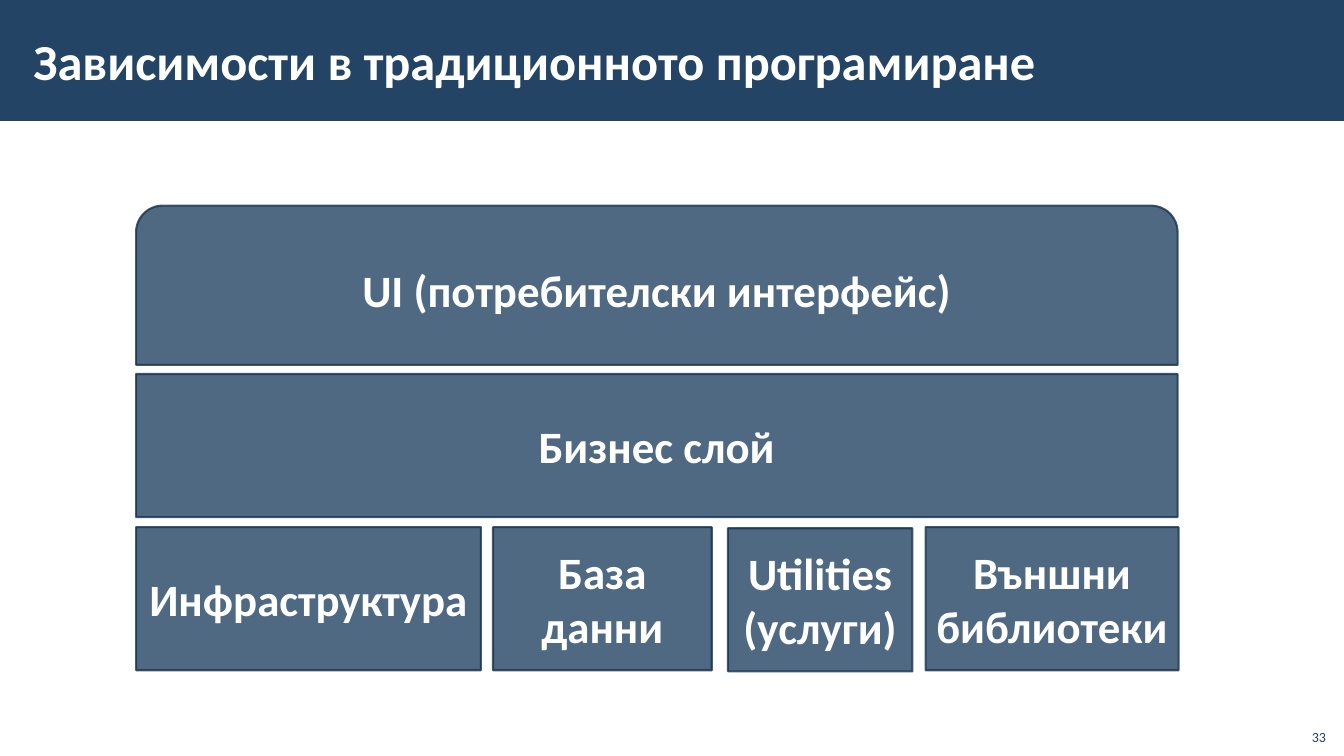
from lxml import etree
from pptx import Presentation
from pptx.dml.color import RGBColor
from pptx.enum.shapes import MSO_SHAPE
from pptx.enum.text import MSO_ANCHOR, PP_ALIGN
from pptx.oxml.ns import qn
from pptx.util import Inches, Pt

NAVY = RGBColor(0x23, 0x44, 0x65)
DARK_NAVY = RGBColor(0x1A, 0x33, 0x4C)
WHITE = RGBColor(0xFF, 0xFF, 0xFF)


def write(sp, text, size=32, color=WHITE, bold=True,
          align=PP_ALIGN.CENTER, anchor=MSO_ANCHOR.MIDDLE):
    tf = sp.text_frame
    tf.word_wrap = True
    tf.vertical_anchor = anchor
    p = tf.paragraphs[0]
    p.alignment = align
    r = p.add_run()
    r.text = text
    r.font.name = "Calibri"
    r.font.size = Pt(size)
    r.font.bold = bold
    r.font.color.rgb = color


def add_block(slide, shape, x, y, w, h, text):
    """Add a layer of the diagram with 80% opaque fill and outline."""
    sp = slide.shapes.add_shape(shape, Inches(x), Inches(y), Inches(w), Inches(h))
    sp.shadow.inherit = False
    sp.fill.solid()
    sp.fill.fore_color.rgb = NAVY
    sp.line.color.rgb = DARK_NAVY
    sp.line.width = Pt(1.5)
    for clr in sp._element.spPr.iter(qn("a:srgbClr")):
        etree.SubElement(clr, qn("a:alpha")).set("val", "80000")
    write(sp, text)


prs = Presentation()
prs.slide_width = Inches(13.33)
prs.slide_height = Inches(7.5)
slide = prs.slides.add_slide(prs.slide_layouts[5])

# Header band behind the title
band = slide.shapes.add_shape(MSO_SHAPE.RECTANGLE, 0, 0, prs.slide_width, Inches(1.2))
band.shadow.inherit = False
band.fill.solid()
band.fill.fore_color.rgb = NAVY
band.line.fill.background()
slide.shapes._spTree.insert(2, band._element)

title = slide.shapes.title
title.left, title.top = Inches(0.21), Inches(0.11)
title.width, title.height = Inches(10.63), Inches(0.97)
tf = title.text_frame
tf.margin_left = tf.margin_right = Inches(0.12)
tf.margin_top = tf.margin_bottom = Inches(0.04)
write(title, "Зависимости в традиционното програмиране", size=36, align=PP_ALIGN.LEFT)

# Full-width layers, then the row they rest on
LEFT, WIDTH, ROW_H = 1.35, 10.33, 1.42
add_block(slide, MSO_SHAPE.ROUND_2_SAME_RECTANGLE, LEFT, 2.04, WIDTH, 1.58,
          "UI (потребителски интерфейс)")
add_block(slide, MSO_SHAPE.RECTANGLE, LEFT, 3.71, WIDTH, ROW_H, "Бизнес слой")

for x, y, w, text in [
    (LEFT, 5.23, 3.42, "Инфраструктура"),
    (4.89, 5.23, 2.17, "База данни"),
    (7.22, 5.24, 1.83, "Utilities (услуги)"),
    (9.18, 5.23, 2.51, "Външни библиотеки"),
]:
    add_block(slide, MSO_SHAPE.RECTANGLE, x, y, w, ROW_H, text)

number = slide.shapes.add_textbox(Inches(12.85), Inches(7.12), Inches(0.4), Inches(0.32))
write(number, "33", size=10, color=NAVY, bold=False,
      align=PP_ALIGN.RIGHT, anchor=MSO_ANCHOR.BOTTOM)

prs.save("out.pptx")
